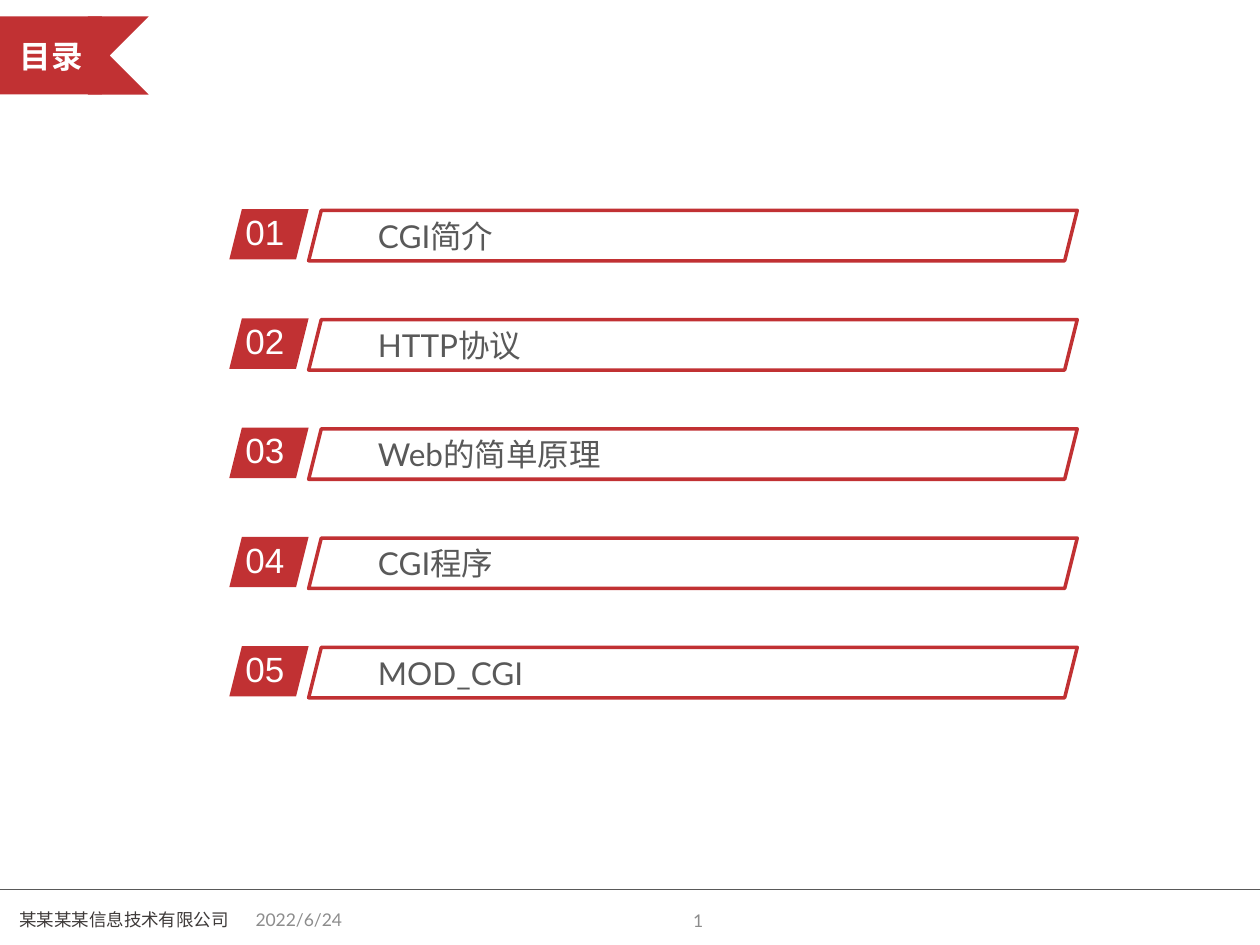
"""Build the contents slide with a red ribbon, five entries and a footer."""
from lxml import etree
from pptx import Presentation, util as u
from pptx.dml.color import RGBColor
from pptx.enum import shapes, text
from pptx.oxml.ns import qn

RED = RGBColor(0xC1, 0x31, 0x33)
WHITE = RGBColor(0xFF, 0xFF, 0xFF)
SLATE = RGBColor(0x59, 0x59, 0x59)
GREY = RGBColor(0x8C, 0x8C, 0x8C)
INK = RGBColor(0x3E, 0x3A, 0x39)

SHAPE = shapes.MSO_SHAPE
ALIGN = text.PP_ALIGN
MIDDLE = text.MSO_ANCHOR.MIDDLE
TOP = text.MSO_ANCHOR.TOP

TOPICS = ["CGI简介", "HTTP协议", "Web的简单原理", "CGI程序", "MOD_CGI"]
FIRST, STEP = 1.66, 0.867


def write(shape, words, size=10, color=GREY, font="Lato", bold=False,
          align=ALIGN.LEFT, anchor=MIDDLE, pad=(0.1, 0.05), before=0):
    frame = shape.text_frame
    frame.word_wrap = True
    frame.vertical_anchor = anchor
    frame.margin_left = frame.margin_right = u.Inches(pad[0])
    frame.margin_top = frame.margin_bottom = u.Inches(pad[1])
    para = frame.paragraphs[0]
    para.alignment = align
    para.space_before = u.Pt(before)
    run = para.add_run()
    run.text = words
    run.font.size = u.Pt(size)
    run.font.name = font
    run.font.bold = bold
    run.font.color.rgb = color


class Deck:
    def __init__(self, slide, main=RED):
        self.slide = slide
        self.main = main

    def block(self, kind, *box):
        shape = self.slide.shapes.add_shape(kind, *map(u.Inches, box))
        shape.shadow.inherit = False
        shape.fill.solid()
        shape.fill.fore_color.rgb = self.main
        shape.line.fill.background()
        return shape

    def frame(self, kind, *box):
        shape = self.block(kind, *box)
        shape.fill.fore_color.rgb = WHITE
        tint = shape.fill._xPr.find(qn("a:solidFill"))[0]
        etree.SubElement(tint, qn("a:alpha"), val="70000")
        shape.line.color.rgb = self.main
        shape.line.width = u.Pt(2)
        return shape

    def label(self, words, *box, **style):
        shape = self.slide.shapes.add_textbox(*map(u.Inches, box))
        write(shape, words, **style)

    def rule(self, y, color):
        line = self.slide.shapes.add_connector(
            shapes.MSO_CONNECTOR.STRAIGHT, 0, u.Inches(y), u.Inches(10), u.Inches(y))
        line.line.color.rgb = color
        line.line.width = u.Pt(0.75)
        etree.SubElement(line._element.spPr, qn("a:effectLst"))

    def entry(self, index, topic):
        y = FIRST + index * STEP
        bar = self.frame(SHAPE.PARALLELOGRAM, 2.45, y + 0.01, 6.1, 0.4)
        write(bar, topic, size=18, color=SLATE, pad=(0, 0.05))
        self.block(SHAPE.PARALLELOGRAM, 1.82, y, 0.63, 0.4)
        self.label(f"{index + 1:02}", 1.85, y - 0.04, 0.87, 0.47, size=20,
                   color=WHITE, font="Arial", anchor=TOP, before=3)


def main():
    prs = Presentation()
    prs.slide_width, prs.slide_height = u.Inches(10), u.Inches(7.5)
    deck = Deck(prs.slides.add_slide(prs.slide_layouts[6]))

    deck.rule(7.06, SLATE)
    deck.block(SHAPE.CHEVRON, 0.39, 0.13, 0.79, 0.62).rotation = 180
    title = deck.block(SHAPE.RECTANGLE, 0, 0.13, 0.81, 0.62)
    write(title, "目录", size=18, color=WHITE, font="Arial", bold=True,
          align=ALIGN.CENTER, pad=(0.1, 0.16))

    for index, topic in enumerate(TOPICS):
        deck.entry(index, topic)

    deck.label("2022/6/24", 1.93, 7.1, 2.33, 0.4)
    deck.label("某某某某信息技术有限公司", -0.83, 7.1, 3.63, 0.4,
               color=INK, align=ALIGN.CENTER)
    deck.label("1", 3.35, 7.11, 2.33, 0.4, align=ALIGN.RIGHT)
    prs.save("out.pptx")


if __name__ == "__main__":
    main()
